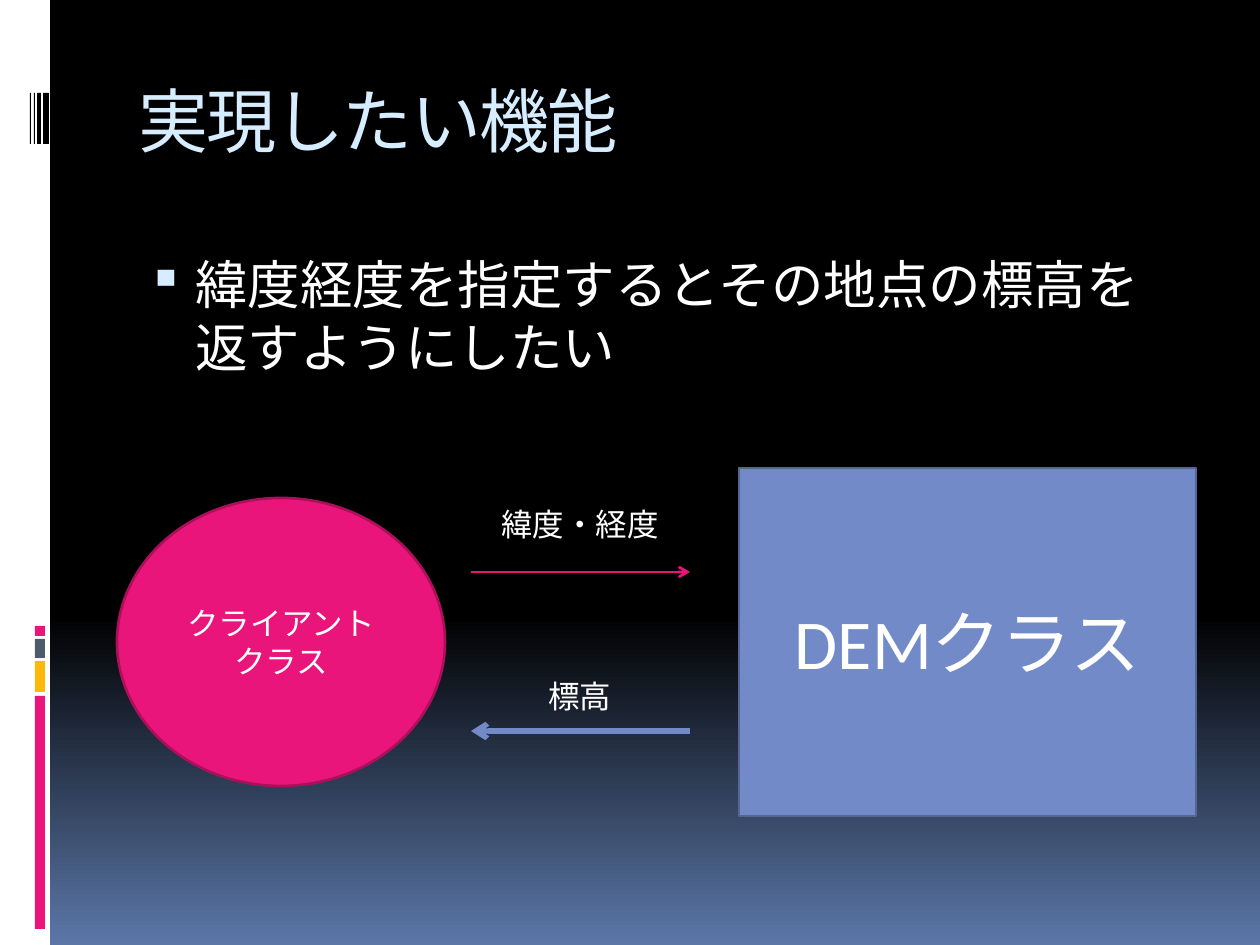
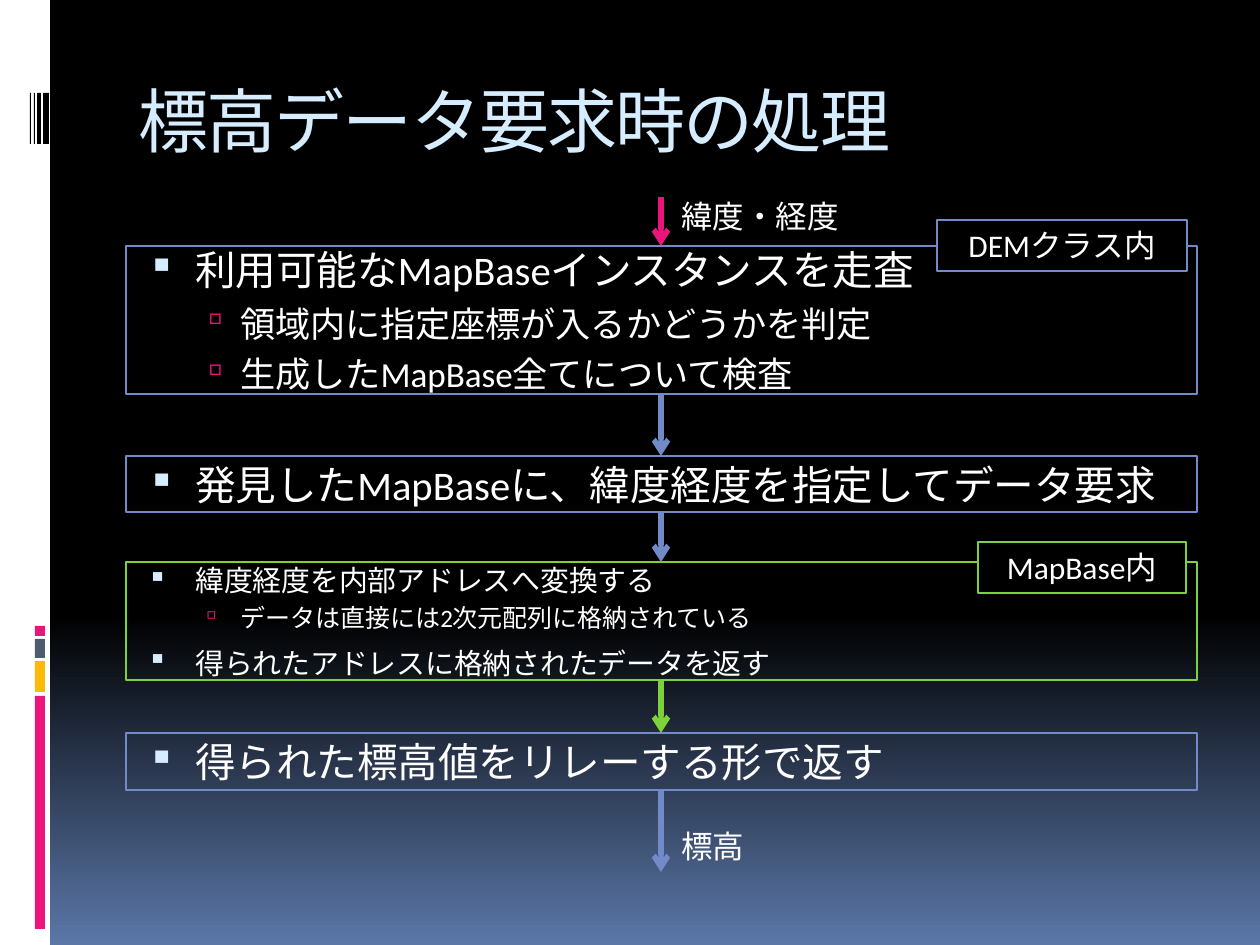
from lxml import etree
from copy import deepcopy
from pptx import Presentation
from pptx import util as u
from pptx.dml.color import RGBColor
from pptx.enum import lang, shapes, text
from pptx.oxml.ns import qn

PX = 914400 / 126
WHITE = RGBColor(0xFF, 0xFF, 0xFF)
BLACK = RGBColor(0, 0, 0)
PINK = RGBColor(0xEA, 0x15, 0x7A)
WINE = RGBColor(0xAD, 0x10, 0x5A)
BLUE = RGBColor(0x73, 0x8A, 0xC8)
NAVY = RGBColor(0x55, 0x66, 0x94)
GREEN = RGBColor(0x7F, 0xD1, 0x3B)
GOLD = RGBColor(0xFE, 0xB8, 0x0A)
SLATE = RGBColor(0x4E, 0x5B, 0x6F)
ICE = RGBColor(0xD6, 0xEC, 0xFF)
DUSK = RGBColor(0x5B, 0x77, 0xA8)

BODY = "Calibri"
HEAD = "Courier New"
LEFT, WIDE, MID = 126, 1071, 661
RECT = shapes.MSO_SHAPE.RECTANGLE
OVAL = shapes.MSO_SHAPE.OVAL
TOP, CENTRE = text.MSO_ANCHOR.TOP, text.MSO_ANCHOR.MIDDLE

# Bullet levels: left margin, indent, mark, colour, size in percent
LEVELS = [(57, -48, "▪", ICE, 95), (102, -39, "▫", PINK, 90)]
# Left, top, width, height and colour of the parts of the side rail
RAIL = [(0, 0, 50, 945, WHITE), (35, 696, 10, 233, PINK),
        (35, 661, 10, 31, GOLD), (35, 639, 10, 19, SLATE),
        (35, 626, 10, 10, PINK), (43, 93, 6, 51, BLACK),
        (37, 93, 4, 51, BLACK), (34, 93, 1, 51, BLACK),
        (30, 93, 1, 51, BLACK)]


def px(*vals):
    return [u.Emu(round(v * PX)) for v in vals]


def sub(node, tag, **attrs):
    return etree.SubElement(node, qn(tag), attrs)


def mark(para, level, size):
    """Give a paragraph the bullet and indents of its level."""
    left, dent, char, colour, scale = LEVELS[level]
    para.level = level
    para.space_before = u.Pt(round(size * 0.24, 1) if level else 7)
    props = para._p.get_or_add_pPr()
    props.set("marL", str(px(left)[0]))
    props.set("indent", str(px(dent)[0]))
    sub(sub(props, "a:buClr"), "a:srgbClr", val=str(colour))
    sub(props, "a:buSzPct", val=str(scale * 1000))
    sub(props, "a:buChar", char=char)


def write(shape, words, size=18, font=BODY, colour=WHITE, align=None,
          anchor=TOP, space=None, level=None, more=False):
    """Write one paragraph; more=True adds it below those already there."""
    frame = shape.text_frame
    frame.word_wrap = True
    frame.vertical_anchor = anchor
    para = frame.add_paragraph() if more else frame.paragraphs[0]
    para.alignment = align or text.PP_ALIGN.LEFT
    if level is not None:
        mark(para, level, size)
    run = para.add_run()
    run.text = words
    run.font.size = u.Pt(size)
    run.font.name = font
    run.font.color.rgb = colour
    run.font.language_id = lang.MSO_LANGUAGE_ID.JAPANESE
    props = run._r.get_or_add_rPr()
    sub(props, "a:ea", typeface=font)
    if space:
        props.set("spc", str(space))


def box(slide, x, y, w, h, fill=None, line=None, width=0.75, kind=RECT):
    shape = slide.shapes.add_shape(kind, *px(x, y, w, h))
    shape.shadow.inherit = False
    if fill is None:
        shape.fill.background()
    else:
        shape.fill.solid()
        shape.fill.fore_color.rgb = fill
    if line is None:
        shape.line.fill.background()
    else:
        shape.line.color.rgb = line
        shape.line.width = u.Pt(width)
    return shape


def label(slide, words, x, y, w, h=50, **form):
    write(slide.shapes.add_textbox(*px(x, y, w, h)), words, **form)


def tag(slide, words, x, y, w, line):
    write(box(slide, x, y, w, 51, BLACK, line), words,
          align=text.PP_ALIGN.CENTER)


def items(shape, rows, anchor=CENTRE):
    """Fill a shape with bullets given as (level, size, words)."""
    for i, (level, size, words) in enumerate(rows):
        write(shape, words, size=size, level=level, anchor=anchor, more=i > 0)


def step(slide, y, h, line, *rows):
    items(box(slide, LEFT, y, WIDE, h, line=line), rows)


def arrow(slide, x1, y1, x2, y2, colour, width=3):
    link = slide.shapes.add_connector(
        shapes.MSO_CONNECTOR.STRAIGHT, *px(x1, y1, x2, y2))
    link.line.color.rgb = colour
    link.line.width = u.Pt(width)
    sub(link.line._get_or_add_ln(), "a:tailEnd", type="arrow")
    sub(link._element.spPr, "a:effectLst")


def base(deck, title):
    """Add a slide with the shared background, side rail and title."""
    slide = deck.slides.add_slide(deck.slide_layouts[6])
    fill = slide.background.fill
    fill.gradient()
    fill.gradient_angle = 270
    first, last = fill.gradient_stops
    first.color.rgb, last.color.rgb = BLACK, DUSK
    first.position, last.position = 0, 1
    stops = slide.element.xpath(".//a:gsLst")[0]
    hold = deepcopy(stops[0])
    hold.set("pos", "65000")
    stops.insert(1, hold)
    for x, y, w, h, colour in RAIL:
        box(slide, x, y, w, h, colour)
    label(slide, title, LEFT, 71, WIDE, 126, size=40, font=HEAD,
          colour=ICE, space=-100)
    return slide


def goal(deck):
    slide = base(deck, "実現したい機能")
    body = slide.shapes.add_textbox(*px(LEFT, 246, WIDE, 186))
    items(body, [(0, 30, "緯度経度を指定するとその地点の標高を返すようにしたい")], TOP)
    mid = text.PP_ALIGN.CENTER
    user = box(slide, 117, 498, 328, 288, PINK, WINE, 1.5, OVAL)
    write(user, "クライアントクラス", align=mid, anchor=CENTRE)
    dem = box(slide, 739, 468, 457, 348, BLUE, NAVY, 1.5)
    write(dem, "DEMクラス", size=40, align=mid, anchor=CENTRE)
    arrow(slide, 471, 572, 690, 572, PINK, 1.5)
    arrow(slide, 690, 731, 471, 731, BLUE)
    label(slide, "緯度・経度", 481, 499, 198, align=mid)
    label(slide, "標高", 481, 671, 198, align=mid)


def flow(deck):
    slide = base(deck, "標高データ要求時の処理")
    step(slide, 246, 148, BLUE,
         (0, 23.2, "利用可能なMapBaseインスタンスを走査"),
         (1, 20.1, "領域内に指定座標が入るかどうかを判定"),
         (1, 20.1, "生成したMapBase全てについて検査"))
    step(slide, 456, 56, BLUE,
         (0, 23.2, "発見したMapBaseに、緯度経度を指定してデータ要求"))
    step(slide, 562, 118, GREEN,
         (0, 16.5, "緯度経度を内部アドレスへ変換する"),
         (1, 14.3, "データは直接には2次元配列に格納されている"),
         (0, 16.5, "得られたアドレスに格納されたデータを返す"))
    step(slide, 733, 57, BLUE,
         (0, 23.2, "得られた標高値をリレーする形で返す"))
    for start, end, colour in [(197, 246, PINK), (394, 456, BLUE),
                               (512, 562, BLUE), (680, 733, GREEN),
                               (790, 872, BLUE)]:
        arrow(slide, MID, start, MID, end, colour)
    label(slide, "緯度・経度", 669, 191, 258)
    label(slide, "標高", 669, 821, 258)
    tag(slide, "MapBase内", 978, 542, 208, GREEN)
    tag(slide, "DEMクラス内", 937, 220, 250, BLUE)


def main():
    deck = Presentation()
    deck.slide_width, deck.slide_height = px(1260, 945)
    goal(deck)
    flow(deck)
    deck.save("out.pptx")


if __name__ == "__main__":
    main()
